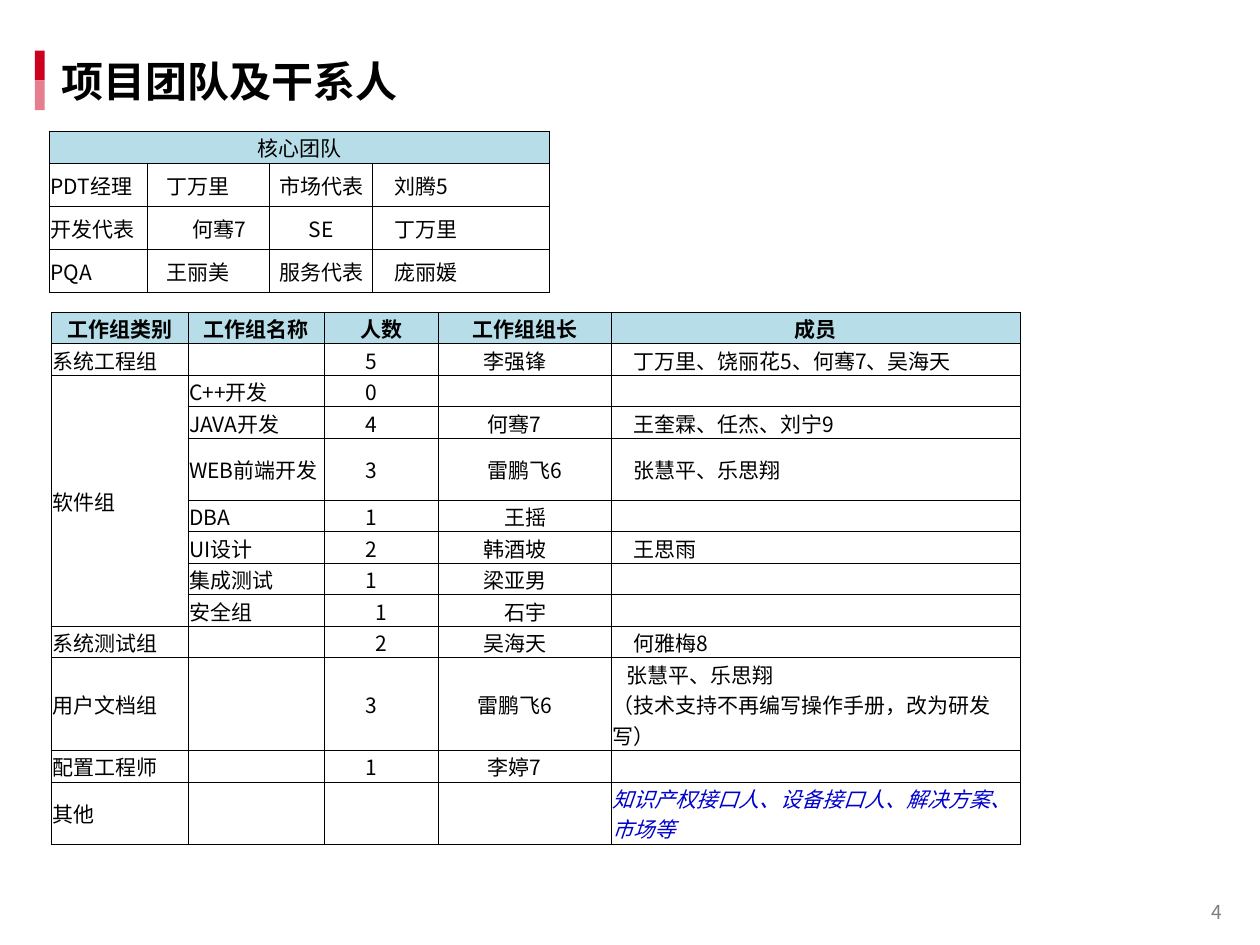
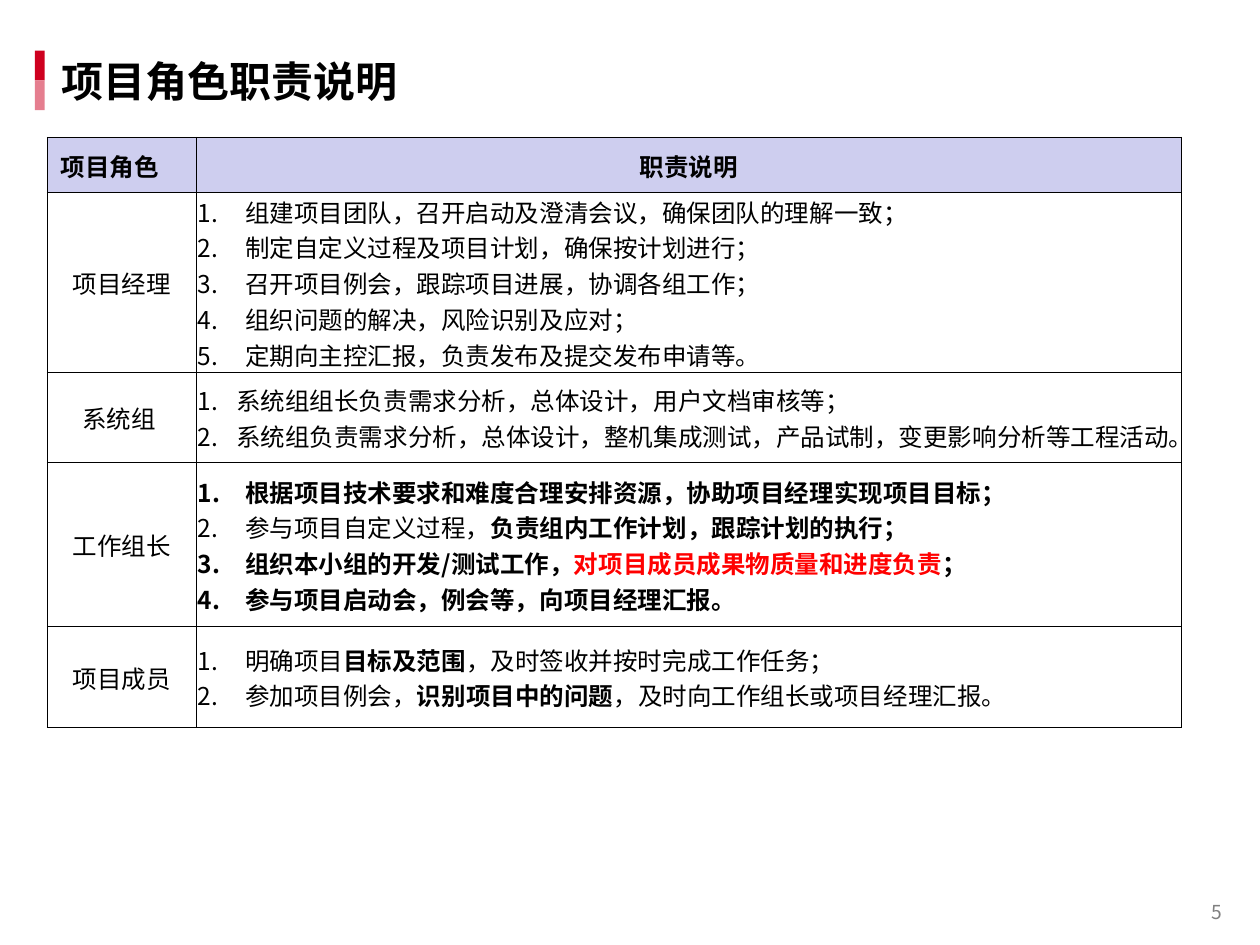
from dataclasses import dataclass

from lxml import etree
from pptx import Presentation
from pptx import util as u
from pptx.dml import color
from pptx.enum import shapes, text
from pptx.oxml import ns

FONT = "Noto Sans CJK SC"
BLACK, WHITE, GREY = "000000", "FFFFFF", "808080"
RED, PINK = "CE001F", "E57E8F"
SKY, LILAC = "B7DEE8", "CECEEF"
LEFT, CENTER = text.PP_ALIGN.LEFT, text.PP_ALIGN.CENTER

BOLD = {"bold": True}
ALERT = {"bold": True, "ink": "FF0000"}
NOTE = {"italic": True, "ink": "0000CC"}


@dataclass
class Line:
    """One paragraph: (text, style) runs, an indent, and whether it is numbered."""
    runs: list
    indent: float = 0
    numbered: bool = False


def rgb(value):
    return color.RGBColor.from_string(value)


def child(parent, tag, **attributes):
    return etree.SubElement(parent, ns.qn(tag), **attributes)


def style_run(run, size, ink=BLACK, bold=False, italic=False):
    font = run.font
    font.name, font.size = FONT, u.Pt(size)
    font.bold, font.italic = bold, italic
    font.color.rgb = rgb(ink)
    child(font._element, "a:ea", typeface=FONT)


# ---- Shared frame: bars, title, page number ----

def add_label(slide, box, words, align, size, **style):
    label = slide.shapes.add_textbox(*map(u.Pt, box))
    frame = label.text_frame
    frame.word_wrap = True
    frame.vertical_anchor = text.MSO_ANCHOR.MIDDLE
    frame.margin_left = frame.margin_right = u.Pt(9.4)
    frame.margin_top = frame.margin_bottom = u.Pt(5)
    frame.text = words
    frame.paragraphs[0].alignment = align
    style_run(frame.paragraphs[0].runs[0], size, **style)


def add_frame(prs, title, page):
    slide = prs.slides.add_slide(prs.slide_layouts[6])
    bar_left, bar_top, bar_width, bar_height = 20, 29, 5.5, 17
    for i, ink in enumerate((RED, PINK)):
        bar = slide.shapes.add_shape(
            shapes.MSO_SHAPE.RECTANGLE, u.Pt(bar_left), u.Pt(bar_top + i * bar_height),
            u.Pt(bar_width), u.Pt(bar_height))
        bar.shadow.inherit = False
        bar.fill.solid()
        bar.fill.fore_color.rgb = rgb(ink)
        bar.line.fill.background()
    add_label(slide, (26, 29, 335, 34.6), title, LEFT, 24, bold=True)
    add_label(slide, (672.5, 507, 46, 28), str(page), CENTER, 11, ink=GREY)
    return slide


# ---- Tables ----

def border_cell(cell):
    properties = cell._tc.get_or_add_tcPr()
    for i, side in enumerate(("a:lnL", "a:lnR", "a:lnT", "a:lnB")):
        edge = etree.Element(ns.qn(side), w=str(u.Pt(0.5)))
        child(child(edge, "a:solidFill"), "a:srgbClr", val=BLACK)
        properties.insert(i, edge)


def write_line(paragraph, line, align, size, bold):
    paragraph.alignment = align
    for words, style in line.runs:
        run = paragraph.add_run()
        run.text = words
        style_run(run, size, **{"bold": bold, **style})
    properties = paragraph._p.get_or_add_pPr()
    if line.indent:
        properties.set("marL", str(u.Pt(line.indent)))
    if line.numbered:
        properties.set("indent", str(-u.Pt(line.indent)))
        child(properties, "a:buAutoNum", type="arabicPeriod")
    if not line.runs:
        child(paragraph._p, "a:endParaRPr", sz=str(size * 100))


def fill_cell(cell, content, align, size, bold, fill):
    cell.margin_left = cell.margin_right = cell.margin_top = u.Pt(0.6)
    cell.margin_bottom = 0
    cell.vertical_anchor = text.MSO_ANCHOR.MIDDLE
    if fill:
        cell.fill.solid()
        cell.fill.fore_color.rgb = rgb(fill)
    else:
        cell.fill.background()
    border_cell(cell)
    if isinstance(content, str):
        content = [Line([(content, {})] if content else [])]
    frame = cell.text_frame
    for i, line in enumerate(content):
        paragraph = frame.add_paragraph() if i else frame.paragraphs[0]
        write_line(paragraph, line, align, size, bold)


def add_grid(slide, origin, widths, heights, rows, aligns, size, head_fill,
             body_fill=None, head_bold=True, merges=()):
    box = (*origin, sum(widths), sum(heights))
    grid = slide.shapes.add_table(len(rows), len(widths), *map(u.Pt, box)).table
    grid.first_row = grid.horz_banding = False
    for column, width in zip(grid.columns, widths):
        column.width = u.Pt(width)
    for row, height in zip(grid.rows, heights):
        row.height = u.Pt(height)
    for r, row in enumerate(rows):
        for c, content in enumerate(row):
            head = r == 0
            fill_cell(grid.cell(r, c), content, CENTER if head else aligns[c], size,
                      head and head_bold, head_fill if head else body_fill)
    for first, last in merges:
        grid.cell(*first).merge(grid.cell(*last))


# ---- Slide contents ----

CORE_TEAM = [
    ("核心团队", "", "", ""),
    ("PDT经理", "丁万里　", "市场代表", "　刘腾5"),
    ("开发代表", "　何骞7", "SE", "　丁万里"),
    ("PQA", "王丽美　", "服务代表", "　庞丽媛"),
]

WORK_GROUPS = [
    ("工作组类别", "工作组名称", "人数", "工作组组长", "成员"),
    ("系统工程组", "", "5　", "李强锋　", "　丁万里、饶丽花5、何骞7、吴海天"),
    ("软件组", "C++开发", "0　", "", ""),
    ("", "JAVA开发", "4　", "何骞7　", "　王奎霖、任杰、刘宁9"),
    ("", "WEB前端开发", "3　", "雷鹏飞6", "　张慧平、乐思翔"),
    ("", "DBA", "1　", "王摇", ""),
    ("", "UI设计", "2　", "韩酒坡　", "　王思雨"),
    ("", "集成测试", "1　", "梁亚男　", ""),
    ("", "安全组", "1", "石宇", ""),
    ("系统测试组", "", "2", "吴海天　", "　何雅梅8"),
    ("用户文档组", "", "3　", "雷鹏飞6　", [
        Line([("张慧平、乐思翔", {})], indent=8),
        Line([("（技术支持不再编写操作手册，改为研发写）", {})])]),
    ("配置工程师", "", "1　", "李婷7　", ""),
    ("其他", "", "", "", [
        Line([("知识产权接口人、设备接口人、解决方案、市场等", NOTE)])]),
]


def numbered(*items, indent=27):
    return [Line([(item, {})] if isinstance(item, str) else item, indent, True)
            for item in items]


DUTIES = [
    ("项目角色　", "职责说明"),
    ("项目经理", numbered(
        "组建项目团队，召开启动及澄清会议，确保团队的理解一致；",
        "制定自定义过程及项目计划，确保按计划进行；",
        "召开项目例会，跟踪项目进展，协调各组工作；",
        "组织问题的解决，风险识别及应对；",
        "定期向主控汇报，负责发布及提交发布申请等。")),
    ("系统组 ", numbered(
        "系统组组长负责需求分析，总体设计，用户文档审核等；",
        "系统组负责需求分析，总体设计，整机集成测试，产品试制，变更影响分析等工程活动。",
        indent=22)),
    ("工作组长", numbered(
        [("根据项目技术要求和难度合理安排资源，协助项目经理实现项目目标；", BOLD)],
        [("参与项目自定义过程，", {}), ("负责组内工作计划，跟踪计划的执行；", BOLD)],
        [("组织本小组的开发/测试工作，", BOLD),
         ("对项目成员成果物质量和进度负责", ALERT), ("；", BOLD)],
        [("参与项目启动会，例会等，向项目经理汇报。", BOLD)])),
    ("项目成员", numbered(
        [("明确项目", {}), ("目标及范围", BOLD), ("，及时签收并按时完成工作任务；", {})],
        [("参加项目例会，", {}), ("识别项目中的问题", BOLD),
         ("，及时向工作组长或项目经理汇报。", {})])),
]


def build_team_slide(prs):
    slide = add_frame(prs, "项目团队及干系人", 4)
    # Core team
    add_grid(slide, (28.2, 75), (56.1, 69.8, 58.8, 101.2), [18.3] + [24.6] * 3,
             CORE_TEAM, (LEFT, CENTER, CENTER, LEFT), 12, SKY, WHITE,
             head_bold=False, merges=[((0, 0), (0, 3))])
    # Work groups: rows are one, two or three lines high
    heights = [18] * len(WORK_GROUPS)
    heights[4] = heights[12] = 35.4
    heights[10] = 53
    add_grid(slide, (29.5, 178.5), (78, 78, 65.2, 98.8, 233.6), heights,
             WORK_GROUPS, (LEFT, LEFT, CENTER, CENTER, LEFT), 12, SKY, WHITE,
             merges=[((2, 0), (8, 0))])


def build_duties_slide(prs):
    slide = add_frame(prs, "项目角色职责说明", 5)
    add_grid(slide, (27, 78.5), (85.4, 562.6), (31.5, 102.8, 51.4, 93.8, 57.6),
             DUTIES, (CENTER, LEFT), 14, LILAC)


def main():
    prs = Presentation()
    prs.slide_width, prs.slide_height = u.Pt(720), u.Pt(540)
    build_team_slide(prs)
    build_duties_slide(prs)
    prs.save("out.pptx")


if __name__ == "__main__":
    main()
